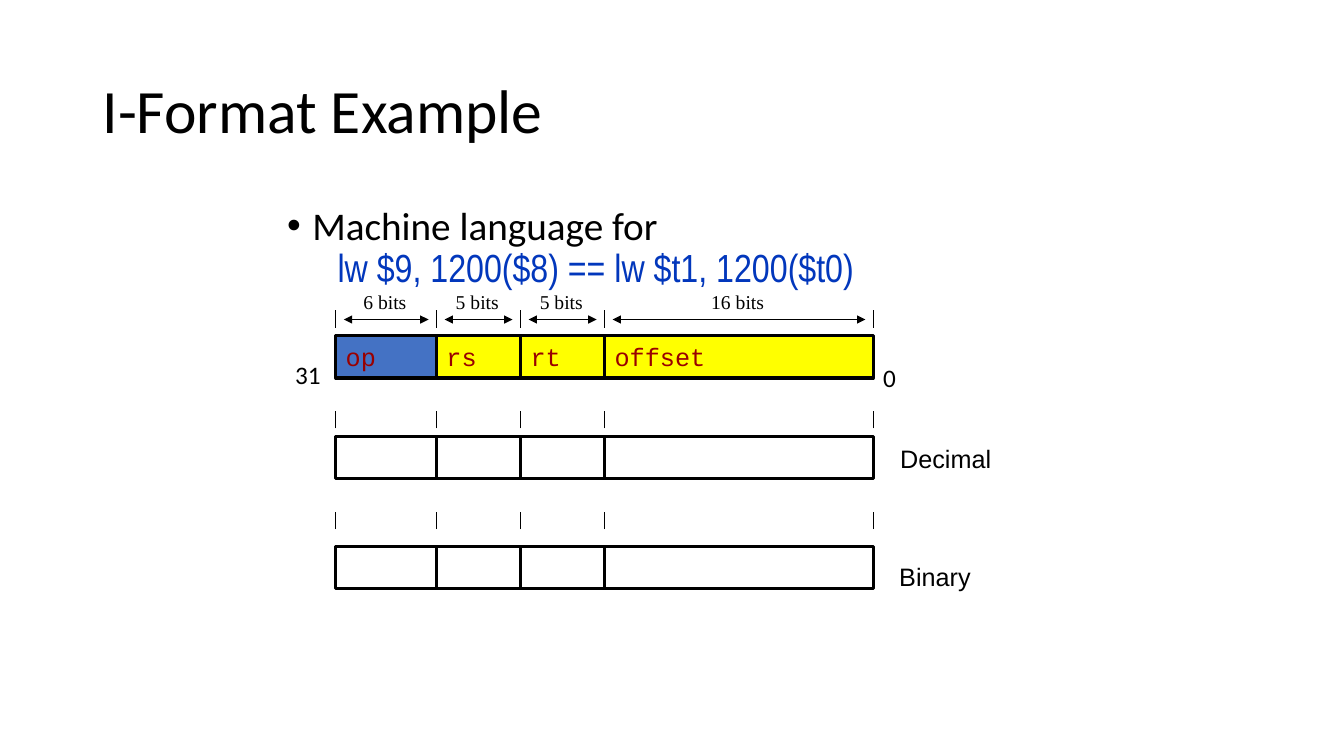
from dataclasses import dataclass

from lxml.etree import SubElement
from pptx import Presentation
from pptx.dml.color import RGBColor
from pptx.enum.shapes import MSO_CONNECTOR as Connector, MSO_SHAPE as Shape
from pptx.enum.text import MSO_ANCHOR as Anchor, MSO_AUTO_SIZE as AutoSize, PP_ALIGN as Align
from pptx.oxml.ns import qn
from pptx.util import Inches, Pt


@dataclass(frozen=True)
class Theme:
    """Colours, fonts and type sizes of the slide."""
    black: str = "000000"
    white: str = "FFFFFF"
    opcode: str = "4472C4"
    operand: str = "FFFF00"
    field_name: str = "990000"
    code: str = "0237BC"
    body_font: str = "Calibri"
    code_font: str = "Arial Narrow"
    field_font: str = "Courier New"
    bits_font: str = "Times New Roman"
    base_font: str = "Arial"
    title_size: int = 44
    body_size: int = 28
    label_size: int = 18
    bits_size: int = 14
    border: float = 2.25
    rule: float = 1


class FormatSlide:
    """Draws the parts of an instruction-format slide."""

    def __init__(self, slide, theme):
        self.shapes = slide.shapes
        self.theme = theme

    def style(self, run, size, font, color):
        run.font.size = Pt(size)
        run.font.name = font
        run.font.color.rgb = RGBColor.from_string(color)

    def text(self, box, words, size, font, wrap=False):
        label = self.shapes.add_textbox(*map(Inches, box))
        frame = label.text_frame
        frame.word_wrap = wrap
        frame.auto_size = AutoSize.NONE if wrap else AutoSize.SHAPE_TO_FIT_TEXT
        frame.text = words
        for run in frame.paragraphs[0].runs:
            self.style(run, size, font, self.theme.black)
        return frame

    def title(self, box, words):
        frame = self.text(box, words, self.theme.title_size, self.theme.body_font, True)
        frame.vertical_anchor = Anchor.MIDDLE
        frame.paragraphs[0].line_spacing = 0.9

    def bullet(self, box, lead, code):
        theme = self.theme
        frame = self.text(box, f"{lead}\v\t{code}", theme.body_size, theme.body_font, True)
        paragraph = frame.paragraphs[0]
        paragraph.line_spacing = 0.9
        paragraph.space_before = Pt(10)
        self.style(paragraph.runs[1], theme.body_size, theme.code_font, theme.code)
        properties = paragraph._p.get_or_add_pPr()
        properties.set("marL", str(Inches(0.25)))
        properties.set("indent", str(Inches(-0.25)))
        SubElement(properties, qn("a:buFont")).set("typeface", theme.base_font)
        SubElement(properties, qn("a:buChar")).set("char", "•")

    def cell(self, box, fill, words=""):
        theme = self.theme
        cell = self.shapes.add_shape(Shape.RECTANGLE, *map(Inches, box))
        cell.shadow.inherit = False
        cell.fill.solid()
        cell.fill.fore_color.rgb = RGBColor.from_string(fill)
        cell.line.color.rgb = RGBColor.from_string(theme.black)
        cell.line.width = Pt(theme.border)
        if words:
            cell.text_frame.text = words
            paragraph = cell.text_frame.paragraphs[0]
            paragraph.alignment = Align.LEFT
            self.style(paragraph.runs[0], theme.label_size, theme.field_font, theme.field_name)

    def line(self, start, end, arrows=False):
        line = self.shapes.add_connector(Connector.STRAIGHT, *map(Inches, start + end))
        line.line.color.rgb = RGBColor.from_string(self.theme.black)
        line.line.width = Pt(self.theme.rule)
        if arrows:
            outline = line.line._get_or_add_ln()
            for tip in ("a:headEnd", "a:tailEnd"):
                SubElement(outline, qn(tip)).set("type", "triangle")
        SubElement(line._element.spPr, qn("a:effectLst"))

    def ticks(self, edges, top):
        for edge in edges:
            self.line((edge, top + 0.17), (edge, top))


def main():
    theme = Theme()
    deck = Presentation()
    deck.slide_width, deck.slide_height = Inches(13.33), Inches(7.5)
    page = FormatSlide(deck.slides.add_slide(deck.slide_layouts[6]), theme)

    page.title((0.92, 0.4, 11.5, 1.45), "I-Format Example")
    page.bullet((2.75, 2, 7.83, 4.5), "Machine language for ",
                "lw $9, 1200($8) == lw $t1, 1200($t0)")

    fields = [("op", 6, theme.opcode, 0.65), ("rs", 5, theme.operand, 0.65),
              ("rt", 5, theme.operand, 0.65), ("offset", 16, theme.operand, 0.75)]
    bits_per_inch, cell_height, arrow_gap = 6, 0.42, 0.08
    edges = [3.33]
    for _, bits, _, _ in fields:
        edges.append(edges[-1] + bits / bits_per_inch)

    for (name, bits, fill, label_width), left, right in zip(fields, edges, edges[1:]):
        width = right - left
        page.cell((left, 3.33, width, cell_height), fill, name)
        for top in (4.33, 5.42):
            page.cell((left, top, width, cell_height), theme.white)
        page.line((left + arrow_gap, 3.17), (right - arrow_gap, 3.17), arrows=True)
        page.text(((left + right - label_width) / 2, 2.83, label_width, 0.33),
                  f"{bits} bits", theme.bits_size, theme.bits_font)

    for top in (3.08, 4.08, 5.08):
        page.ticks(edges, top)

    for words, box, font in [
        ("Decimal", (8.83, 4.35, 1.11, 0.4), theme.base_font),
        ("Binary", (8.82, 5.52, 0.92, 0.4), theme.base_font),
        ("0", (8.66, 3.55, 0.33, 0.4), theme.body_font),
        ("31", (2.83, 3.52, 0.46, 0.4), theme.body_font),
    ]:
        page.text(box, words, theme.label_size, font)

    deck.save("out.pptx")


if __name__ == "__main__":
    main()
